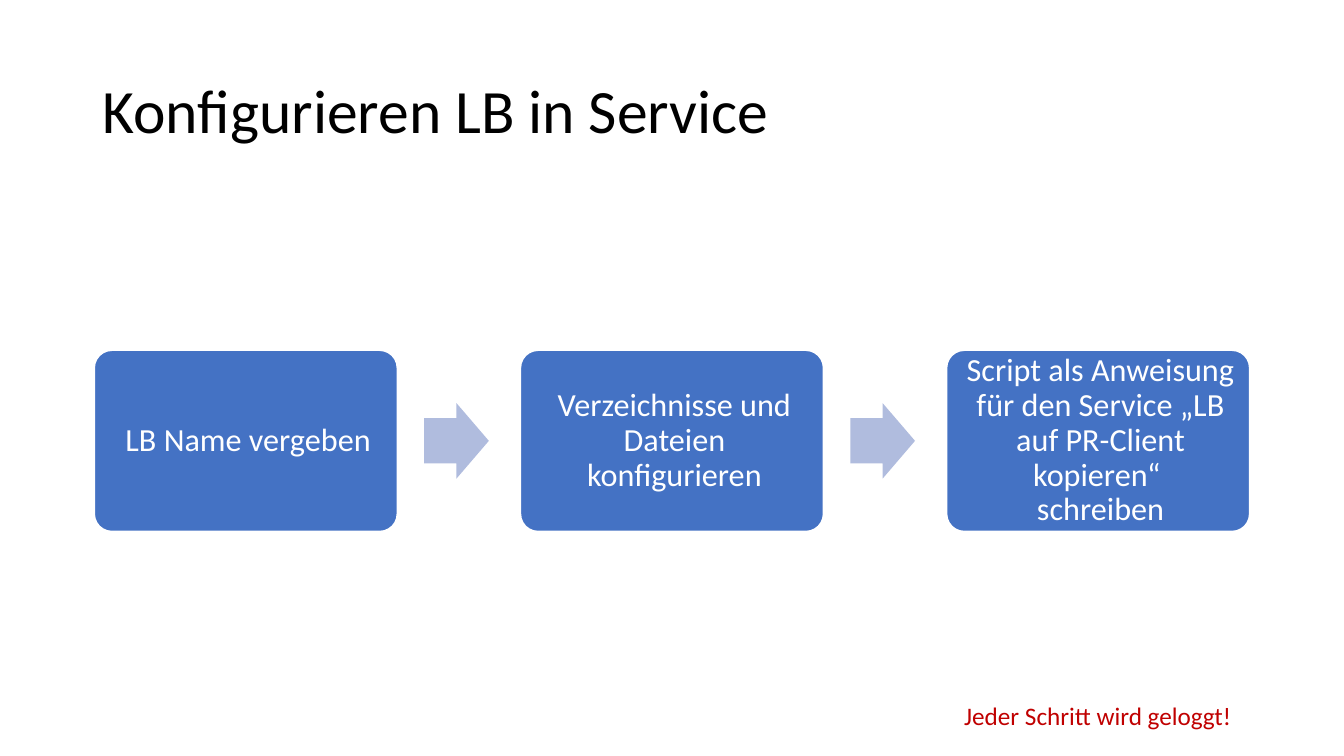
from pptx import Presentation
from pptx.dml.color import RGBColor
from pptx.enum.shapes import MSO_SHAPE as Shape
from pptx.enum.text import MSO_ANCHOR as Anchor, PP_ALIGN as Align
from pptx.util import Cm, Pt

BLACK = RGBColor(0x00, 0x00, 0x00)
WHITE = RGBColor(0xFF, 0xFF, 0xFF)
BLUE = RGBColor(0x44, 0x72, 0xC4)
PALE_BLUE = RGBColor(0xB0, 0xBC, 0xDE)
RED = RGBColor(0xC0, 0x00, 0x00)

STEPS = [
    "LB Name vergeben",
    "Verzeichnisse und Dateien konfigurieren",
    "Script als Anweisung für den Service „LB auf PR-Client kopieren“ \nschreiben",
]
STEP_LEFT, STEP_PITCH = 2.36, 10.74
STEP_WIDTH, STEP_HEIGHT = 7.67, 4.6
ARROW_OFFSET = 8.33
ARROW_WIDTH, ARROW_HEIGHT = 1.63, 1.9
MIDDLE = 11.11


def write(s, text, size, color, margins, anchor=Anchor.MIDDLE, **paragraph):
    """Fill a shape with one paragraph; margins are left, top, right, bottom in cm."""
    tf = s.text_frame
    tf.word_wrap = True
    tf.vertical_anchor = anchor
    for side, margin in zip(("left", "top", "right", "bottom"), margins):
        setattr(tf, f"margin_{side}", Cm(margin))
    p = tf.paragraphs[0]
    p.text = text
    for name, value in paragraph.items():
        setattr(p, name, value)
    for r in p.runs:
        r.font.name = "Calibri"
        r.font.size = Pt(size)
        r.font.color.rgb = color


def add_filled(kind, left, width, height, color, adjustments):
    """Add a preset shape centred vertically on the row of steps."""
    s = slide.shapes.add_shape(
        kind, Cm(left), Cm(MIDDLE - height / 2), Cm(width), Cm(height))
    s.shadow.inherit = False
    s.fill.solid()
    s.fill.fore_color.rgb = color
    s.line.fill.background()
    for i, value in enumerate(adjustments):
        s.adjustments[i] = value
    return s


prs = Presentation()
prs.slide_width, prs.slide_height = Cm(33.87), Cm(19.05)
slide = prs.slides.add_slide(prs.slide_layouts[6])

title = slide.shapes.add_textbox(Cm(2.33), Cm(1.01), Cm(29.21), Cm(3.68))
write(title, "Konfigurieren LB in Service", 44, BLACK,
      (0.25, 0.13, 0.25, 0.13), line_spacing=0.9)

for i, step in enumerate(STEPS):
    left = STEP_LEFT + i * STEP_PITCH
    box = add_filled(Shape.ROUNDED_RECTANGLE, left, STEP_WIDTH, STEP_HEIGHT, BLUE, [0.1])
    box.line.color.rgb = WHITE
    box.line.width = Pt(2)
    write(box, step, 23, WHITE, (0.38, 0.38, 0.25, 0.38),
          alignment=Align.CENTER, line_spacing=0.9, space_after=Pt(8.1))
    if i < len(STEPS) - 1:
        add_filled(Shape.RIGHT_ARROW, left + ARROW_OFFSET,
                   ARROW_WIDTH, ARROW_HEIGHT, PALE_BLUE, [0.6, 0.5])

note = slide.shapes.add_textbox(Cm(24.05), Cm(17.53), Cm(7.47), Cm(1.02))
write(note, "Jeder Schritt wird geloggt!", 18, RED,
      (0.25, 0.13, 0.25, 0.13), anchor=Anchor.TOP)

prs.save("out.pptx")
